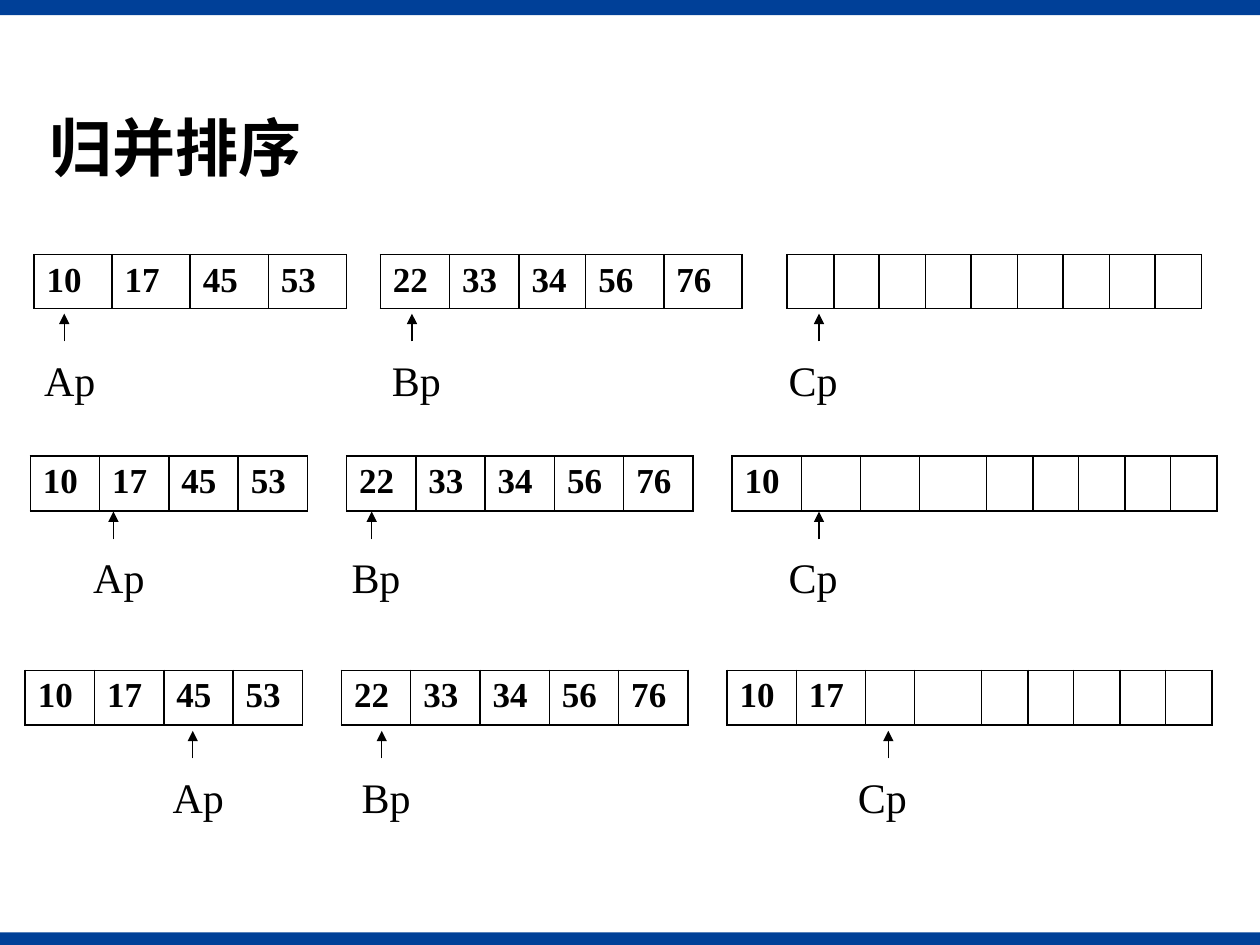
import pptx
import pptx.util
import pptx.dml.color
import pptx.enum.shapes
import pptx.enum.text
import pptx.oxml.ns
from lxml import etree

Inches = pptx.util.Inches
Pt = pptx.util.Pt
RGB = pptx.dml.color.RGBColor
ALIGN = pptx.enum.text.PP_ALIGN
ANCHOR = pptx.enum.text.MSO_ANCHOR
qn = pptx.oxml.ns.qn

BLUE = RGB(0x00, 0x40, 0x98)
BLACK = RGB(0, 0, 0)
SERIF = "Times New Roman"
HAN = "Noto Sans CJK SC"

LEFT = ["10", "17", "45", "53"]
RIGHT = ["22", "33", "34", "56", "76"]
SLOTS = 9
GAPS = (len(LEFT), len(LEFT) + 1 + len(RIGHT))
TAIL = [0.37, 0.36, 0.37, 0.36, 0.37]

# Each step: table left and top, column widths, merged values,
# arrow top, and the x of each pointer.
STEPS = [
    (0.27, 2.02,
     [0.62] * 4 + [0.27, 0.55, 0.55, 0.53, 0.62, 0.62]
     + [0.36, 0.37] * 5,
     [], 2.49, (0.51, 3.27, 6.5)),
    (0.24, 3.62,
     [0.55] * 4 + [0.31] + [0.55] * 5 + [0.31, 0.55, 0.47, 0.47, 0.53] + TAIL,
     ["10"], 4.06, (0.9, 2.95, 6.5)),
    (0.2, 5.32,
     [0.55] * 4 + [0.31] + [0.55] * 5 + [0.31, 0.55, 0.55, 0.39, 0.53] + TAIL,
     ["10", "17"], 5.8, (1.53, 3.03, 7.05)),
]
# Label, its shift left of the arrow, its width
MARKS = [("Ap", 0.16, 0.63), ("Bp", 0.16, 0.47), ("Cp", 0.24, 0.63)]


def add_run(para, text, size, face, bold=False):
    run = para.add_run()
    run.text = text
    font = run.font
    font.size, font.name, font.bold = Pt(size), face, bold
    font.color.rgb = BLACK
    return run


def add_bar(slide, top, height):
    bar = slide.shapes.add_shape(
        pptx.enum.shapes.MSO_SHAPE.RECTANGLE,
        0, Inches(top), Inches(10), Inches(height))
    bar.shadow.inherit = False
    bar.fill.solid()
    bar.fill.fore_color.rgb = BLUE
    bar.line.fill.background()


def set_title(slide, left, top, width, height):
    title = slide.shapes.title
    title.left, title.top = Inches(left), Inches(top)
    title.width, title.height = Inches(width), Inches(height)
    frame = title.text_frame
    frame.word_wrap = True
    frame.auto_size = pptx.enum.text.MSO_AUTO_SIZE.NONE
    frame.vertical_anchor = ANCHOR.MIDDLE
    para = frame.paragraphs[0]
    para.alignment = ALIGN.LEFT
    para.line_spacing = 0.9
    run = add_run(para, "归并排序", 36, HAN, True)
    etree.SubElement(run.font._element, qn("a:ea"), typeface=HAN)


def set_edges(cell, drawn):
    """Draw the named sides of a cell and clear the others."""
    props = cell._tc.get_or_add_tcPr()
    for side in "LRTB":
        edge = etree.SubElement(props, qn("a:ln" + side), w=str(Pt(1)))
        if side in drawn:
            fill = etree.SubElement(edge, qn("a:solidFill"))
            etree.SubElement(fill, qn("a:srgbClr"), val=str(BLACK))
        else:
            etree.SubElement(edge, qn("a:noFill"))


def add_lists(slide, left, top, widths, merged):
    """Place the two sorted lists and the merged one as one row."""
    blanks = [""] * (SLOTS - len(merged))
    values = LEFT + [""] + RIGHT + [""] + merged + blanks
    table = slide.shapes.add_table(
        1, len(values), Inches(left), Inches(top),
        Inches(sum(widths)), Inches(0.43)).table
    table.first_row = table.horz_banding = False
    for i, (value, width) in enumerate(zip(values, widths)):
        table.columns[i].width = Inches(width)
        cell = table.cell(0, i)
        set_edges(cell, "LR" if i in GAPS else "LRTB")
        cell.fill.background()
        if value:
            add_run(cell.text_frame.paragraphs[0], value, 20, SERIF, True)


def add_mark(slide, x, top, text, shift, width):
    """Place an upward arrow with its pointer name below."""
    arrow = slide.shapes.add_connector(
        pptx.enum.shapes.MSO_CONNECTOR.STRAIGHT,
        Inches(x), Inches(top + 0.22), Inches(x), Inches(top))
    arrow.line.color.rgb = BLACK
    arrow.line.width = Pt(0.75)
    etree.SubElement(arrow.line._get_or_add_ln(), qn("a:tailEnd"),
                     type="triangle")
    etree.SubElement(arrow._element.spPr, qn("a:effectLst"))

    label = slide.shapes.add_textbox(
        Inches(x - shift), Inches(top + 0.32), Inches(width), Inches(0.39))
    frame = label.text_frame
    frame.word_wrap = True
    frame.margin_left = frame.margin_right = 0
    frame.margin_top = frame.margin_bottom = 0
    para = frame.paragraphs[0]
    para.alignment = ALIGN.JUSTIFY
    add_run(para, text, 24, SERIF)


def add_step(slide, left, top, widths, merged, tip, spots):
    add_lists(slide, left, top, widths, merged)
    for x, mark in zip(spots, MARKS):
        add_mark(slide, x, tip, *mark)


def main():
    deck = pptx.Presentation()
    deck.slide_width, deck.slide_height = Inches(10), Inches(7.5)
    slide = deck.slides.add_slide(deck.slide_layouts[5])
    add_bar(slide, 7.4, 0.1)
    add_bar(slide, 0, 0.12)
    set_title(slide, 0.29, 0.83, 7.55, 0.74)
    for step in STEPS:
        add_step(slide, *step)
    deck.save("out.pptx")


if __name__ == "__main__":
    main()
